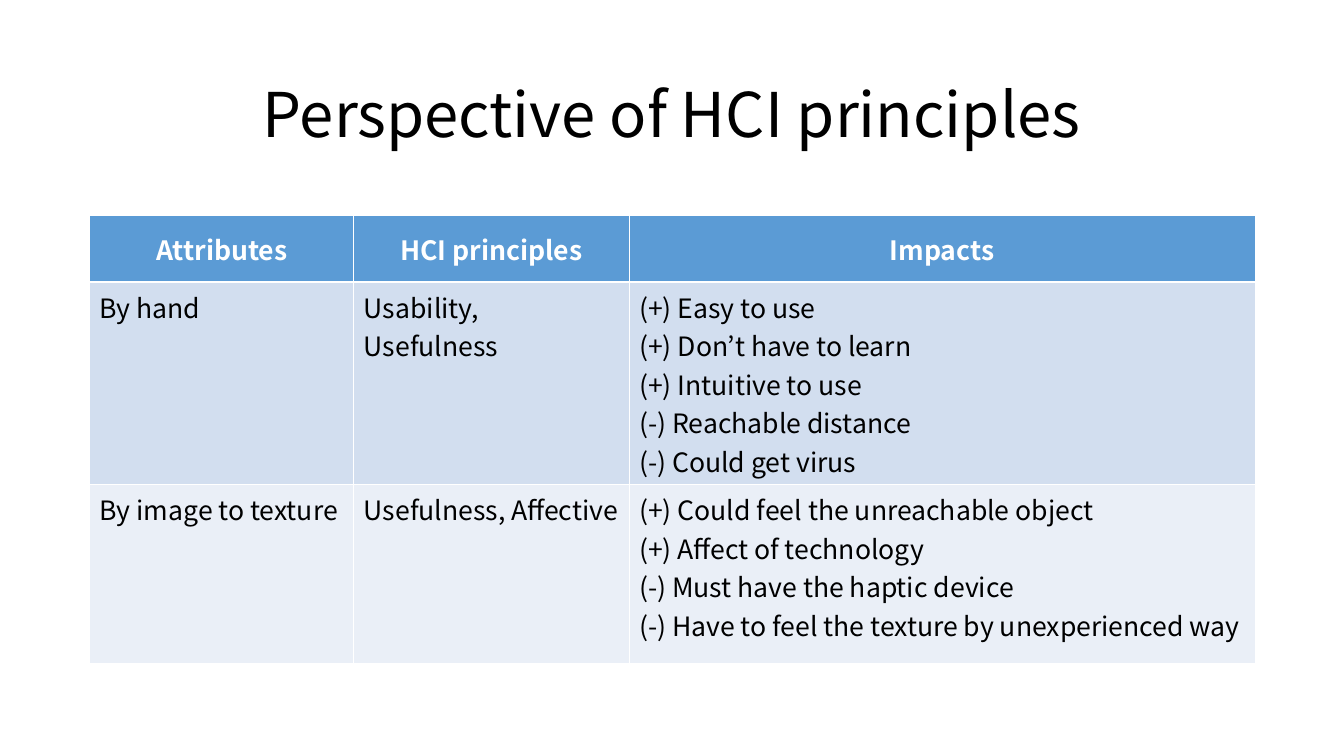
from pptx import Presentation
from pptx.dml.color import RGBColor
from pptx.enum.text import MSO_ANCHOR, PP_ALIGN
from pptx.oxml import parse_xml
from pptx.oxml.ns import nsdecls
from pptx.util import Inches, Pt

CENTER, JUSTIFY = PP_ALIGN.CENTER, PP_ALIGN.JUSTIFY
TOP, MIDDLE = MSO_ANCHOR.TOP, MSO_ANCHOR.MIDDLE

# Content
TITLE = "Perspective of HCI principles"
ROWS = [
    ("Attributes", "HCI principles", "Impacts"),
    ("By hand", "Usability, Usefulness",
     "(+) Easy to use\n(+) Don’t have to learn\n(+) Intuitive to use\n"
     "(-) Reachable distance\n(-) Could get virus"),
    ("By image to texture", "Usefulness, Affective",
     "(+) Could feel the unreachable object\n(+) Affect of technology\n"
     "(-) Must have the haptic device\n"
     "(-) Have to feel the texture by unexperienced way"),
]

# Theme and layout, lengths in inches
THEME = dict(font="Noto Sans CJK KR", title_size=44, table_size=19,
             text="000000", header_text="FFFFFF", border="FFFFFF",
             header="5B9BD5", bands=("D2DEEF", "EAEFF7"),
             border_width=1, header_rule=1.5)
SLIDE_W, SLIDE_H = 13.33, 7.5
TITLE_W, TITLE_TOP, TITLE_H = 11.5, 0.44, 1.45
TABLE_LEFT, TABLE_TOP = 0.89, 2.14
COL_WIDTHS = (2.62, 2.73, 6.21)
ROW_HEIGHTS = (0.66, 2.01, 1.77)


def style_text(tf, size, color, align, bold=False):
    for p in tf.paragraphs:
        p.alignment = align
        for r in p.runs:
            r.font.name = THEME["font"]
            r.font.size = Pt(size)
            r.font.bold = bold
            r.font.color.rgb = RGBColor.from_string(color)


def add_borders(cell, top, bottom):
    tc_pr = cell._tc.get_or_add_tcPr()
    side_width = THEME["border_width"]
    for side, width in (("L", side_width), ("R", side_width),
                        ("T", top), ("B", bottom)):
        tc_pr.append(parse_xml(
            f'<a:ln{side} {nsdecls("a")} w="{int(Pt(width))}"><a:solidFill>'
            f'<a:srgbClr val="{THEME["border"]}"/></a:solidFill></a:ln{side}>'))


prs = Presentation()
prs.slide_width, prs.slide_height = Inches(SLIDE_W), Inches(SLIDE_H)
s = prs.slides.add_slide(prs.slide_layouts[6])

# Title
sp = s.shapes.add_textbox(Inches((SLIDE_W - TITLE_W) / 2), Inches(TITLE_TOP),
                          Inches(TITLE_W), Inches(TITLE_H))
tf = sp.text_frame
tf.word_wrap = True
tf.vertical_anchor = MIDDLE
tf.text = TITLE
tf.paragraphs[0].line_spacing = 0.9
style_text(tf, THEME["title_size"], THEME["text"], CENTER)

# Table
table = s.shapes.add_table(
    len(ROWS), len(COL_WIDTHS), Inches(TABLE_LEFT), Inches(TABLE_TOP),
    Inches(sum(COL_WIDTHS)), Inches(sum(ROW_HEIGHTS))).table
for column, width in zip(table.columns, COL_WIDTHS):
    column.width = Inches(width)
for i, (row, height, texts) in enumerate(zip(table.rows, ROW_HEIGHTS, ROWS)):
    row.height = Inches(height)
    is_header = i == 0
    fill = THEME["header"] if is_header else THEME["bands"][(i - 1) % 2]
    top = THEME["header_rule" if i == 1 else "border_width"]
    bottom = THEME["header_rule" if is_header else "border_width"]
    for cell, text in zip(row.cells, texts):
        cell.text_frame.text = text
        cell.vertical_anchor = MIDDLE if is_header else TOP
        add_borders(cell, top, bottom)
        cell.fill.solid()
        cell.fill.fore_color.rgb = RGBColor.from_string(fill)
        style_text(cell.text_frame, THEME["table_size"],
                   THEME["header_text" if is_header else "text"],
                   CENTER if is_header else JUSTIFY, is_header)

prs.save("out.pptx")
